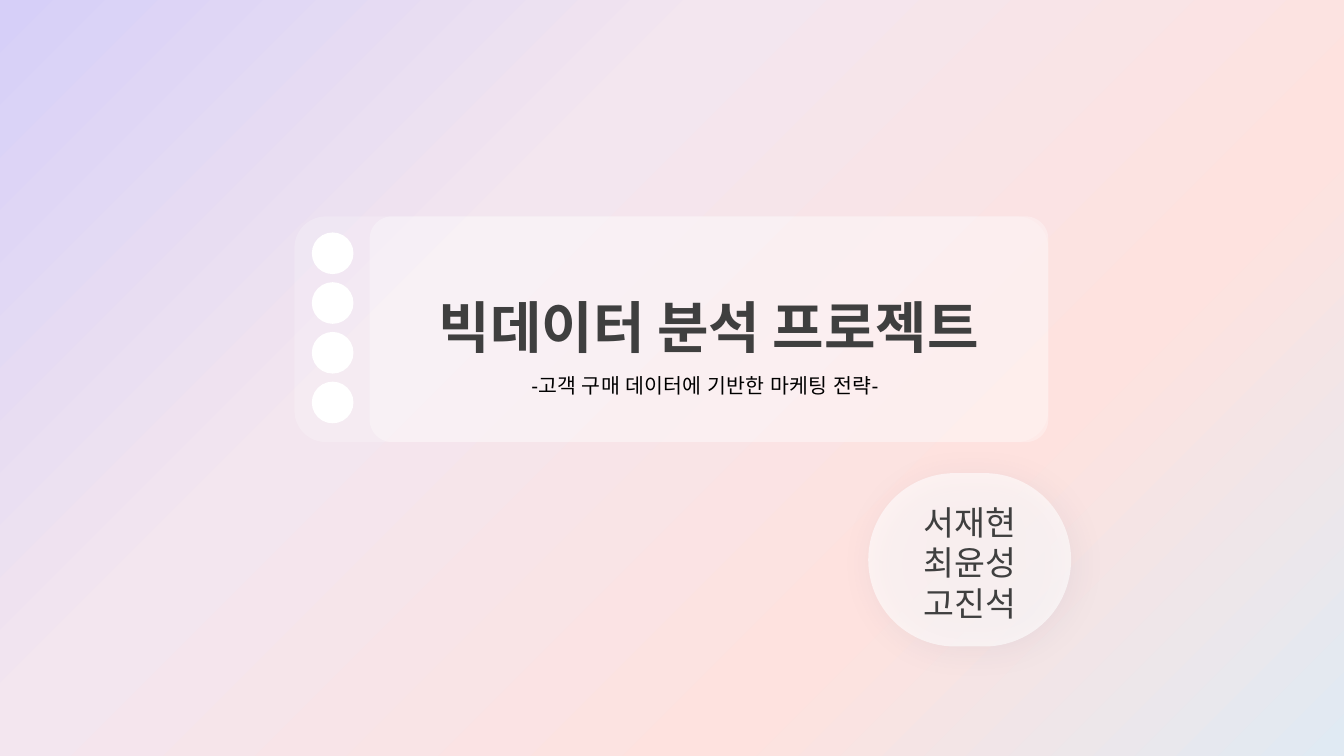
from dataclasses import dataclass

from lxml.etree import SubElement
from pptx import Presentation
from pptx.dml.color import RGBColor
from pptx.enum.shapes import MSO_SHAPE
from pptx.enum.text import MSO_ANCHOR, MSO_AUTO_SIZE, PP_ALIGN
from pptx.oxml.ns import qn
from pptx.util import Inches, Pt


@dataclass(frozen=True)
class Theme:
    """Colours, fonts and type sizes of the deck."""
    white: str = "FFFFFF"
    ink: str = "3F3F3F"
    black: str = "000000"
    shadow: str = "273164"
    gradient: tuple = ((0, "D6CFF8"), (35, "F3E6EF"), (70, "FEE2DF"), (100, "E0EAF3"))
    korean: str = "Noto Sans CJK KR"
    latin: str = "Arial"
    title_size: int = 30
    subtitle_size: int = 11
    name_size: int = 18


@dataclass(frozen=True)
class Box:
    """A rectangle in inches."""
    left: float
    top: float
    width: float
    height: float

    def inner(self, left, top, width, height):
        """Return a box placed relative to this one."""
        return Box(self.left + left, self.top + top, width, height)

    def lengths(self):
        """Return the four lengths for python-pptx."""
        return [Inches(value) for value in (self.left, self.top, self.width, self.height)]


THEME = Theme()


def add_element(parent, tag, **attributes):
    """Append a DrawingML child with the given attributes."""
    values = {name: str(value) for name, value in attributes.items()}
    return SubElement(parent, qn(tag), values)


def set_values(target, values):
    """Set each attribute named in a dict."""
    for name, value in values.items():
        setattr(target, name, value)


def paint_background(slide):
    """Fill the slide with a gradient spreading from its top left corner."""
    slide.background.fill.gradient()
    gradient = slide.element.find(".//" + qn("a:gradFill"))
    for child in list(gradient):
        gradient.remove(child)
    stops = add_element(gradient, "a:gsLst")
    for position, color in THEME.gradient:
        stop = add_element(stops, "a:gs", pos=position * 1000)
        add_element(stop, "a:srgbClr", val=color)
    spread = add_element(gradient, "a:path", path="circle")
    add_element(spread, "a:fillToRect", r=100000, b=100000)


def add_white_shape(slide, kind, box, opacity=100, corner=None):
    """Add a borderless white shape."""
    shape = slide.shapes.add_shape(kind, *box.lengths())
    shape.shadow.inherit = False
    shape.line.fill.background()
    shape.fill.solid()
    shape.fill.fore_color.rgb = RGBColor.from_string(THEME.white)
    if corner is not None:
        shape.adjustments[0] = corner
    if opacity < 100:
        color = shape.element.spPr.find(".//" + qn("a:srgbClr"))
        add_element(color, "a:alpha", val=opacity * 1000)
    return shape


def write_text(shape, lines, size, color, typeface, bold=False, margin_top=0):
    """Write centred paragraphs in a shape."""
    frame = shape.text_frame
    frame.text = "\n".join(lines)
    set_values(frame, {
        "word_wrap": True, "auto_size": MSO_AUTO_SIZE.NONE,
        "vertical_anchor": MSO_ANCHOR.MIDDLE, "margin_left": 0, "margin_right": 0,
        "margin_top": Inches(margin_top), "margin_bottom": 0,
    })
    for para in frame.paragraphs:
        set_values(para, {"alignment": PP_ALIGN.CENTER, "line_spacing": 1.0,
                          "space_before": Pt(0)})
        for span in para.runs:
            set_values(span.font, {"size": Pt(size), "bold": bold, "name": typeface})
            span.font.color.rgb = RGBColor.from_string(color)
            add_element(span.font._element, "a:ea", typeface=typeface)


def place_placeholder(placeholder, box):
    """Move a placeholder into a box and to the front."""
    names = ("left", "top", "width", "height")
    set_values(placeholder, dict(zip(names, box.lengths())))
    tree = placeholder.element.getparent()
    tree.append(placeholder.element)


def build_title_card(slide, box):
    """Draw the layered card with its binder holes, title and subtitle."""
    add_white_shape(slide, MSO_SHAPE.ROUNDED_RECTANGLE, box, 20, 0.14)
    panel = box.inner(0.56, 0, box.width - 0.56, box.height)
    add_white_shape(slide, MSO_SHAPE.ROUNDED_RECTANGLE, panel, 30, 0.1)
    for index in range(4):
        hole = box.inner(0.13, 0.12 + 0.37 * index, 0.31, 0.31)
        add_white_shape(slide, MSO_SHAPE.OVAL, hole)

    title, subtitle = slide.placeholders
    place_placeholder(title, panel.inner(0, 0.47, panel.width, 0.7))
    write_text(title, ["빅데이터 분석 프로젝트"], THEME.title_size, THEME.ink,
               THEME.korean, bold=True)
    place_placeholder(subtitle, panel.inner(0, 1.11, panel.width - 0.06, 0.3))
    write_text(subtitle, ["-고객 구매 데이터에 기반한 마케팅 전략-"],
               THEME.subtitle_size, THEME.black, THEME.latin)


def build_name_badge(slide, box):
    """Draw the rounded badge with the presenters' names."""
    badge = add_white_shape(slide, MSO_SHAPE.ROUNDED_RECTANGLE, box, 60, 0.5)
    effects = badge.element.spPr.find(qn("a:effectLst"))
    shadow = add_element(effects, "a:outerShdw", blurRad=Pt(18), dist=Pt(3),
                         dir=45 * 60000, algn="tl", rotWithShape=0)
    color = add_element(shadow, "a:srgbClr", val=THEME.shadow)
    add_element(color, "a:alpha", val=10000)
    write_text(badge, ["서재현", "최윤성", "고진석"], THEME.name_size, THEME.ink,
               THEME.korean, margin_top=0.04)


def main():
    """Build and save the deck."""
    deck = Presentation()
    set_values(deck, {"slide_width": Inches(10), "slide_height": Inches(10) * 9 // 16})
    slide = deck.slides.add_slide(deck.slide_layouts[0])
    paint_background(slide)
    build_title_card(slide, Box(2.19, 1.61, 5.61, 1.68))
    build_name_badge(slide, Box(6.46, 3.52, 1.51, 1.29))
    deck.save("out.pptx")


if __name__ == "__main__":
    main()
